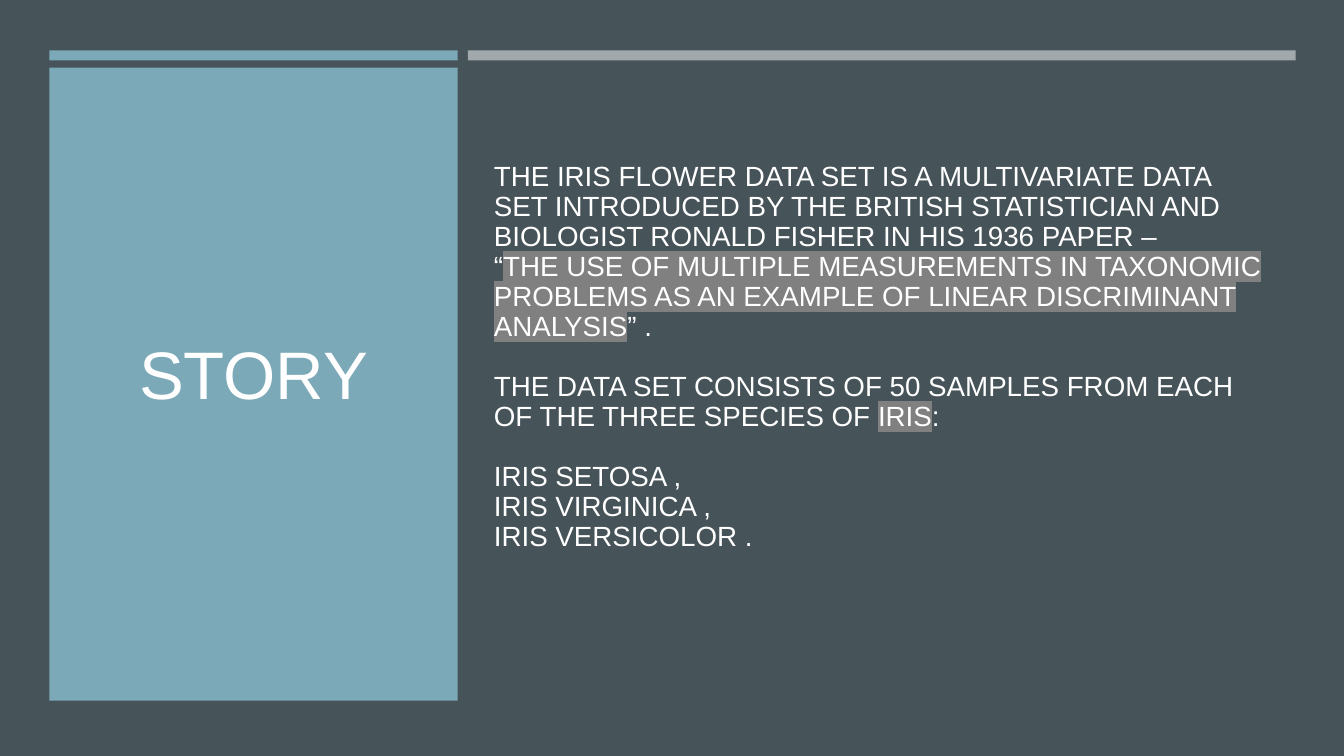
import pptx
import pptx.util
import pptx.dml.color
import pptx.enum.shapes
import pptx.enum.text
import pptx.oxml
import pptx.oxml.ns
from pptx.util import Inches

FONT = "Arial"
SLATE, TEAL, WHITE, GREY = "465359", "7BA9B8", "FFFFFF", "808080"

# Each paragraph is a list of lines, each line a list of (text, highlighted)
STORY = [
    [
        [("THE IRIS FLOWER DATA SET IS A MULTIVARIATE DATA SET INTRODUCED BY THE "
          "BRITISH STATISTICIAN AND BIOLOGIST RONALD FISHER IN HIS 1936 PAPER – ", False)],
        [("“", False),
         ("THE USE OF MULTIPLE MEASUREMENTS IN TAXONOMIC PROBLEMS AS AN EXAMPLE "
          "OF LINEAR DISCRIMINANT ANALYSIS", True),
         ("” .", False)],
    ],
    [
        [("THE DATA SET CONSISTS OF 50 SAMPLES FROM EACH OF THE THREE SPECIES OF ", False),
         ("IRIS", True), (":", False)],
    ],
    [
        [("IRIS SETOSA ,", False)],
        [("IRIS VIRGINICA ,", False)],
        [("IRIS VERSICOLOR .", False)],
    ],
]


def set_fill(fill, color):
    fill.solid()
    fill.fore_color.rgb = pptx.dml.color.RGBColor.from_string(color)


def add_panel(slide, left, top, width, height, color, alpha=100):
    panel = slide.shapes.add_shape(
        pptx.enum.shapes.MSO_SHAPE.RECTANGLE,
        Inches(left), Inches(top), Inches(width), Inches(height))
    panel.shadow.inherit = False
    panel.line.fill.background()
    set_fill(panel.fill, color)
    if alpha < 100:
        srgb = panel.element.spPr.find(".//" + pptx.oxml.ns.qn("a:srgbClr"))
        srgb.append(pptx.oxml.parse_xml(
            f'<a:alpha {pptx.oxml.ns.nsdecls("a")} val="{alpha * 1000}"/>'))


def add_run(paragraph, text, size, highlighted=False):
    run = paragraph.add_run()
    run.text = text
    run.font.size = pptx.util.Pt(size)
    run.font.name = FONT
    set_fill(run.font.fill, WHITE)
    if highlighted:
        solid_fill = run.font.fill._xPr.find(pptx.oxml.ns.qn("a:solidFill"))
        solid_fill.addnext(pptx.oxml.parse_xml(
            f'<a:highlight {pptx.oxml.ns.nsdecls("a")}>'
            f'<a:srgbClr val="{GREY}"/></a:highlight>'))


def set_frame(frame, inset_top, inset_bottom):
    frame.word_wrap = True
    frame.auto_size = pptx.enum.text.MSO_AUTO_SIZE.NONE
    frame.vertical_anchor = pptx.enum.text.MSO_ANCHOR.MIDDLE
    frame.margin_top, frame.margin_bottom = Inches(inset_top), Inches(inset_bottom)


def place_heading(slide, text):
    heading = slide.shapes.title
    heading.left, heading.top = Inches(0.84), Inches(0.94)
    heading.width, heading.height = Inches(3.35), Inches(5.41)
    set_frame(heading.text_frame, 0.16, 0.05)
    paragraph = heading.text_frame.paragraphs[0]
    paragraph.alignment = pptx.enum.text.PP_ALIGN.CENTER
    add_run(paragraph, text, 48)
    # Bring the heading in front of its panel
    heading.element.getparent().append(heading.element)


def add_story(slide, paragraphs, size=19.8, pitch=21.43):
    story = slide.shapes.add_textbox(Inches(4.8), Inches(0.94), Inches(7.88), Inches(5.41))
    frame = story.text_frame
    set_frame(frame, 0.05, 0.26)
    for index, lines in enumerate(paragraphs):
        paragraph = frame.add_paragraph() if index else frame.paragraphs[0]
        paragraph.line_spacing = pptx.util.Pt(pitch)
        paragraph.space_before = pptx.util.Pt(pitch if index else 0)
        for number, line in enumerate(lines):
            if number:
                paragraph.add_line_break()
            for text, highlighted in line:
                add_run(paragraph, text, size, highlighted)


def main():
    deck = pptx.Presentation()
    deck.slide_width, deck.slide_height = Inches(13.33), Inches(7.5)
    slide = deck.slides.add_slide(deck.slide_layouts[5])

    # Backdrop
    set_fill(slide.background.fill, "242E41")
    add_panel(slide, 0, 0, 13.33, 7.5, SLATE)

    # Story text
    add_story(slide, STORY)

    # Top bars and heading panel
    add_panel(slide, 0.49, 0.5, 4.05, 0.1, TEAL)
    add_panel(slide, 4.64, 0.5, 8.21, 0.1, WHITE, alpha=50)
    add_panel(slide, 0.49, 0.67, 4.05, 6.28, TEAL)
    place_heading(slide, "STORY")

    deck.save("out.pptx")


if __name__ == "__main__":
    main()
